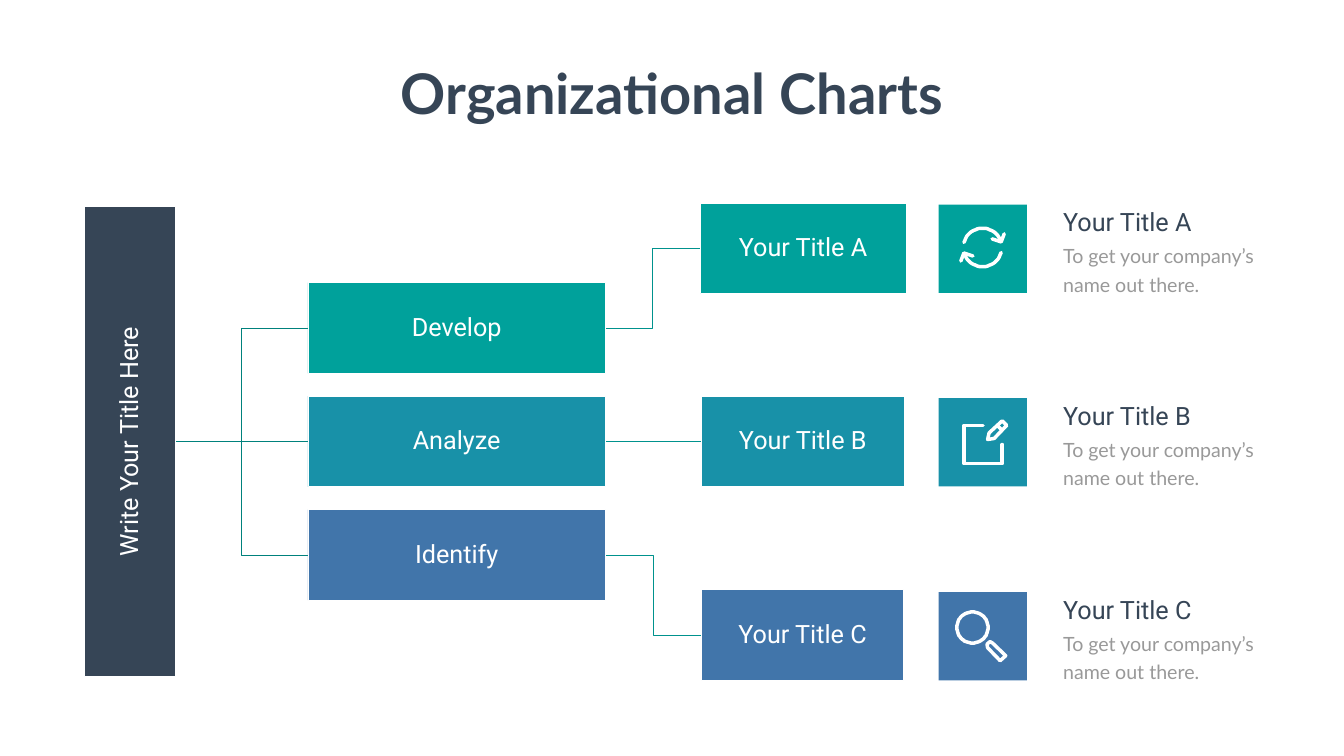
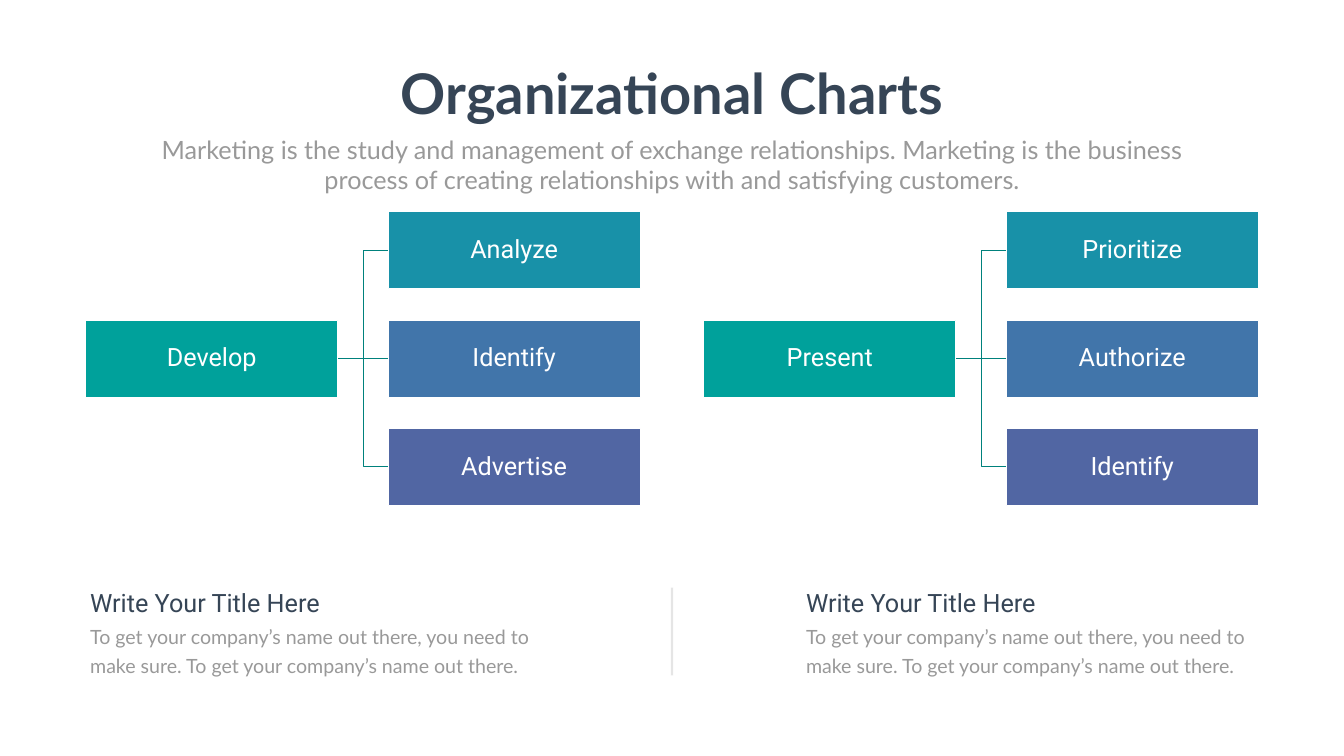
from dataclasses import dataclass
from math import cos, radians, sin
from typing import Any, NamedTuple

from lxml.etree import SubElement
from pptx import Presentation
from pptx.dml.color import RGBColor
from pptx.enum.shapes import MSO_CONNECTOR, MSO_SHAPE
from pptx.enum.text import MSO_ANCHOR, MSO_AUTO_SIZE, PP_ALIGN
from pptx.oxml.ns import qn
from pptx.util import Pt

PX = 9144  # EMU in one px; 100 px make an inch


@dataclass(frozen=True)
class Theme:
    navy: str = "364556"
    teal: str = "00A19B"
    cyan: str = "1891A8"
    blue: str = "4175AA"
    violet: str = "5166A3"
    white: str = "FFFFFF"
    grey: str = "999999"
    rule: str = "808080"
    trunk: str = "00817C"
    twig: str = "00928D"
    head: str = "Roboto"
    body: str = "Lato"
    title: int = 80
    label: int = 36
    note: int = 28
    leading: float = 40.8
    stroke: int = 5


T = Theme()
Point = tuple[int, int]


class Box(NamedTuple):
    x: int
    y: int
    w: int
    h: int

    @property
    def mid(self) -> int:
        return self.y + self.h // 2

    def emu(self) -> list[int]:
        return [v * PX for v in self]


class Node(NamedTuple):
    text: str
    fill: str
    box: Box
    turn: int = 0


class Row(NamedTuple):
    stem: str
    leaf: str
    fill: str
    end: Box
    top: int


# Basic parts

def put(obj: Any, vals: dict[str, Any]) -> None:
    for key, val in vals.items():
        setattr(obj, key, val)


def ink(line: Any, color: str, width: float) -> None:
    line.color.rgb = RGBColor.from_string(color)
    line.width = Pt(width)


def write(shape: Any, text: str, font: str, size: int, color: str, bold: bool = False,
          frame: dict[str, Any] | None = None, para: dict[str, Any] | None = None) -> None:
    put(shape.text_frame, {"word_wrap": True} | (frame or {}))
    item = shape.text_frame.paragraphs[0]
    item.text = text
    put(item, para or {})
    put(item.font, {"name": font, "size": Pt(size), "bold": bold})
    item.font.color.rgb = RGBColor.from_string(color)


def label(slide: Any, box: Box, text: str, font: str, size: int, color: str,
          bold: bool = False, wrap: bool = True, **para: Any) -> None:
    frame = {"word_wrap": wrap, "auto_size": MSO_AUTO_SIZE.SHAPE_TO_FIT_TEXT}
    write(slide.shapes.add_textbox(*box.emu()), text, font, size, color, bold, frame, para)


def block(slide: Any, box: Box, fill: str) -> Any:
    shape = slide.shapes.add_shape(MSO_SHAPE.RECTANGLE, *box.emu())
    shape.shadow.inherit = False
    shape.fill.solid()
    shape.fill.fore_color.rgb = RGBColor.from_string(fill)
    shape.line.fill.background()
    return shape


def join(slide: Any, start: Point, end: Point, color: str, width: float = 1) -> Any:
    straight = start[0] == end[0] or start[1] == end[1]
    kind = MSO_CONNECTOR.STRAIGHT if straight else MSO_CONNECTOR.ELBOW
    line = slide.shapes.add_connector(kind, *(v * PX for v in start + end))
    ink(line.line, color, width)
    SubElement(line._element.spPr, qn("a:effectLst"))
    return line


# Chart parts

def draw(slide: Any, node: Node) -> None:
    shape = block(slide, node.box, node.fill)
    shape.rotation = node.turn
    ink(shape.line, T.white, 1)
    sides = ("left", "right", "top", "bottom")
    frame = {f"margin_{side}": 3 * PX for side in sides}
    frame["vertical_anchor"] = MSO_ANCHOR.MIDDLE
    write(shape, node.text, T.head, T.label, T.white, frame=frame,
          para={"alignment": PP_ALIGN.CENTER, "line_spacing": 0.9})


def link(slide: Any, start: Box, end: Box, color: str) -> None:
    join(slide, (start.x + start.w, start.mid), (end.x, end.mid), color)


def note(slide: Any, x: int, y: int, width: int, head: str, body: str) -> None:
    label(slide, Box(x, y + 64, width, 119), body, T.body, T.note, T.grey,
          line_spacing=Pt(T.leading))
    label(slide, Box(x, y, 567, 71), head, T.head, T.label, T.navy)


def header(slide: Any) -> None:
    label(slide, Box(770, 112, 1126, 145), "Organizational Charts", T.body, T.title, T.navy,
          bold=True, wrap=False, alignment=PP_ALIGN.CENTER)


# Icons, in px from the corner of their tile

def arc(x: int, y: int, r: int, start: int, stop: int) -> list[Point]:
    steps = range(start, stop + 1, 6)
    return [(round(x + r * cos(radians(a))), round(y - r * sin(radians(a)))) for a in steps]


def flip(points: list[Point]) -> list[Point]:
    return [(174 - x, 170 - y) for x, y in points]


class Stroke(NamedTuple):
    points: list[Point]
    close: bool = False


CURVE = arc(87, 85, 38, 27, 165)
BARB = [(106, 68), (124, 74), (130, 58)]
CYCLE = [Stroke(p) for p in (CURVE, BARB, flip(CURVE), flip(BARB))]
EDIT = [
    Stroke([(88, 54), (50, 54), (50, 130), (126, 130), (126, 92)]),
    Stroke([(126, 45), (135, 54), (110, 80), (97, 82), (100, 69)], True),
    Stroke([(118, 56), (124, 62)]),
]
SEARCH = [
    Stroke(arc(67, 70, 31, 0, 354), True),
    Stroke([(97, 110), (96, 103), (102, 98), (107, 101), (133, 126), (122, 136)], True),
]


def icon(slide: Any, tile: Box, strokes: list[Stroke]) -> None:
    for points, close in strokes:
        spots = [(tile.x + x, tile.y + y) for x, y in points]
        pen = slide.shapes.build_freeform(*spots[0], scale=PX)
        pen.add_line_segments(spots[1:], close=close)
        shape = pen.convert_to_shape()
        shape.shadow.inherit = False
        shape.fill.background()
        ink(shape.line, T.white, T.stroke)
        edge = shape.line._get_or_add_ln()
        edge.set("cap", "rnd")
        SubElement(edge, qn("a:round"))


# Slides

def flow(slide: Any) -> None:
    rows = [
        Row("Develop", "Your Title A", T.teal, Box(1389, 403, 408, 180), 406),
        Row("Analyze", "Your Title B", T.cyan, Box(1392, 786, 401, 180), 790),
        Row("Identify", "Your Title C", T.blue, Box(1392, 1170, 400, 180), 1175),
    ]
    root = Box(168, 410, 180, 932)
    stems = [Box(611, 561 + 225 * i, 590, 180) for i in range(len(rows))]
    for row, stem in zip(rows, stems):
        link(slide, root, stem, T.trunk)
        link(slide, stem, row.end, T.twig)
    draw(slide, Node("Write Your Title Here", T.navy, Box(-208, 786, 932, 180), 270))
    for row, stem, strokes in zip(rows, stems, (CYCLE, EDIT, SEARCH)):
        draw(slide, Node(row.stem, row.fill, stem))
        draw(slide, Node(row.leaf, row.fill, row.end))
        tile = Box(1862, row.top, 175, 175)
        block(slide, tile, row.fill)
        icon(slide, tile, strokes)
        note(slide, 2099, row.top - 1, 427, row.leaf, "To get your company’s name out there.")
    header(slide)


def tree(slide: Any, x: int, root: str, names: list[str]) -> None:
    start = Box(x, 635, 500, 153)
    fills = (T.cyan, T.blue, T.violet)
    leaves = [Node(name, fill, Box(x + 600, 420 + 215 * i, 500, 153))
              for i, (name, fill) in enumerate(zip(names, fills))]
    for leaf in leaves:
        link(slide, start, leaf.box, T.trunk)
    for node in [Node(root, T.teal, start), *leaves]:
        draw(slide, node)


def pair(slide: Any) -> None:
    tree(slide, 170, "Develop", ["Analyze", "Identify", "Advertise"])
    tree(slide, 1396, "Present", ["Prioritize", "Authorize", "Identify"])
    for x in (169, 1589):
        note(slide, x, 1161, 908, "Write Your Title Here",
             "To get your company’s name out there, you need to make sure. "
             "To get your company’s name out there.")
    rule = join(slide, (1333, 1166), (1333, 1340), T.rule, 3)
    tint = rule._element.spPr.find(".//" + qn("a:srgbClr"))
    SubElement(tint, qn("a:alpha"), val="20000")
    header(slide)
    label(slide, Box(292, 261, 2082, 131),
          "Marketing is the study and management of exchange relationships. "
          "Marketing is the business process of creating relationships with "
          "and satisfying customers.",
          T.body, T.label, T.grey, alignment=PP_ALIGN.CENTER)


def main() -> None:
    deck = Presentation()
    put(deck, {"slide_width": 2666 * PX, "slide_height": 1500 * PX})
    for build in (flow, pair):
        build(deck.slides.add_slide(deck.slide_layouts[6]))
    deck.save("out.pptx")


if __name__ == "__main__":
    main()
